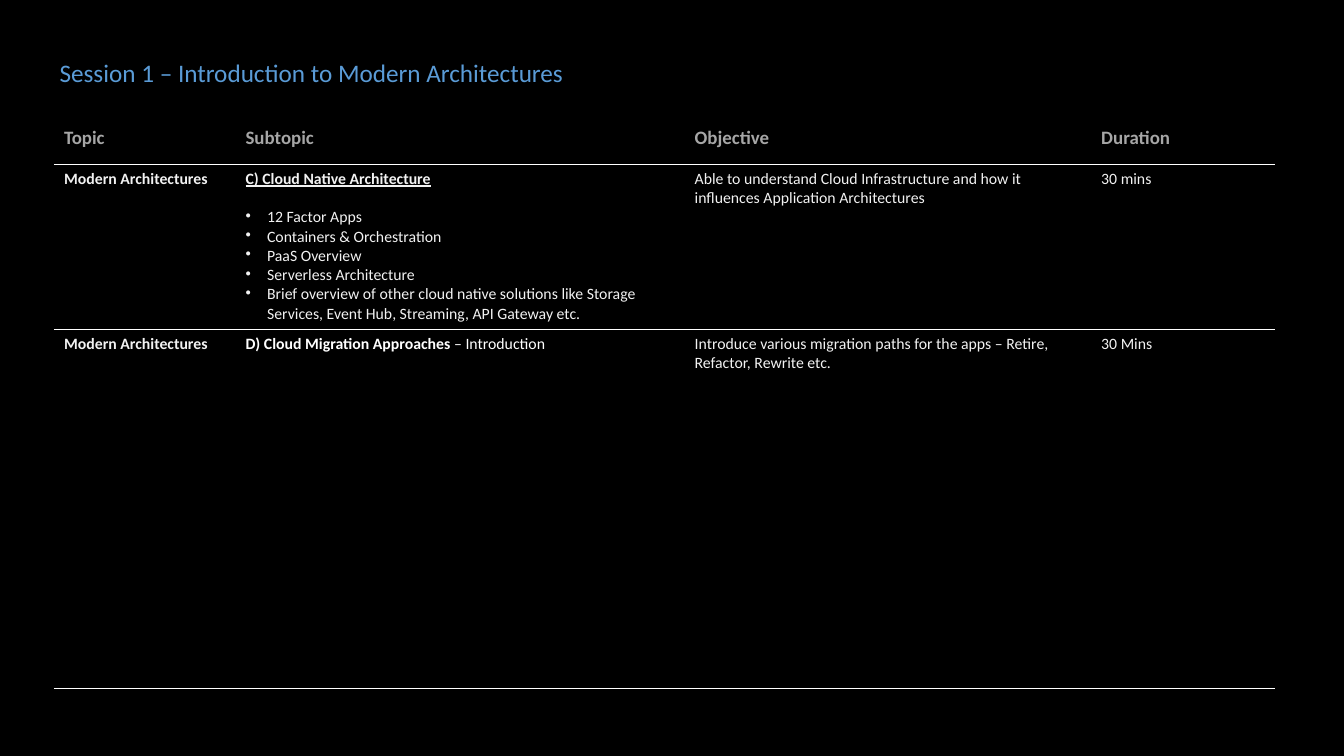
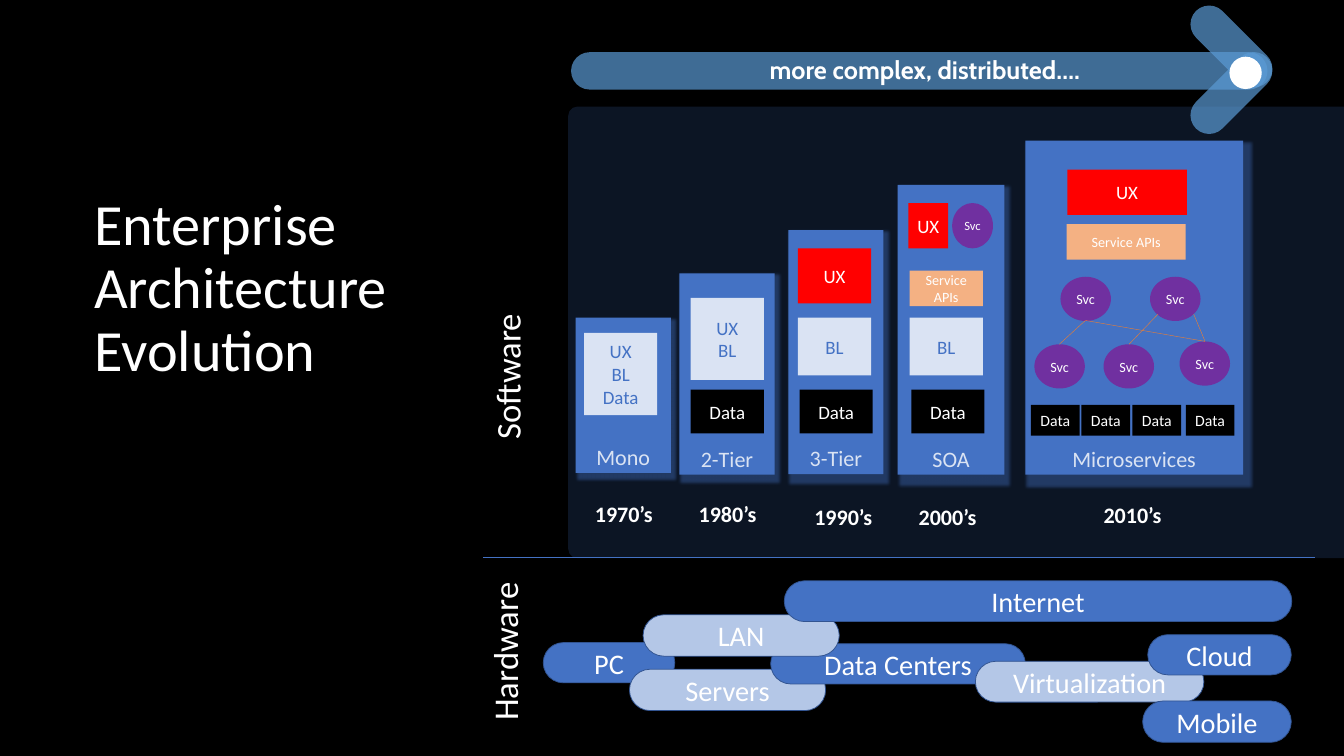
from dataclasses import dataclass
from typing import NamedTuple

from lxml.etree import SubElement
from pptx import Presentation
from pptx.dml.color import RGBColor
from pptx.enum.shapes import MSO_CONNECTOR, MSO_SHAPE as Preset
from pptx.enum.text import MSO_ANCHOR as Anchor, MSO_AUTO_SIZE, PP_ALIGN as Align
from pptx.oxml.ns import qn
from pptx.util import Emu, Pt

EMU_PER_PX = 9144  # 100 px to the inch

BLACK = RGBColor(0x00, 0x00, 0x00)
WHITE = RGBColor(0xFF, 0xFF, 0xFF)
OFF_WHITE = RGBColor(0xF2, 0xF2, 0xF2)
GRAY = RGBColor(0xA6, 0xA6, 0xA6)
TITLE_BLUE = RGBColor(0x5A, 0x9B, 0xD6)
ARROW_BLUE = RGBColor(0x5B, 0x9B, 0xD5)
BLUE = RGBColor(0x44, 0x72, 0xC4)
DARK_BLUE = RGBColor(0x32, 0x54, 0x91)
LIGHT_BLUE = RGBColor(0xB4, 0xC7, 0xE7)
PALE_BLUE = RGBColor(0xDA, 0xE3, 0xF3)
RED = RGBColor(0xFF, 0x00, 0x00)
PEACH = RGBColor(0xF4, 0xB1, 0x83)
ORANGE = RGBColor(0xED, 0x7D, 0x31)
PURPLE = RGBColor(0x70, 0x30, 0xA0)


class Box(NamedTuple):
    left: int
    top: int
    width: int
    height: int


class Run(NamedTuple):
    text: str
    bold: bool = False
    underline: bool = False
    color: RGBColor = OFF_WHITE
    size: int = 20


class Line(NamedTuple):
    """One paragraph of a table cell."""
    runs: list[Run]
    bullet: bool = False
    space_after: int = 0


@dataclass(frozen=True)
class Font:
    size: int
    color: RGBColor = WHITE
    bold: bool = False
    name: str = "Calibri"


@dataclass(frozen=True)
class Look:
    preset: Preset
    fill: RGBColor
    font: Font = Font(24)
    anchor: Anchor = Anchor.MIDDLE
    outline: RGBColor | None = None
    radius: float | None = None
    opacity: int = 100
    shadow: bool = False


PANEL = Look(Preset.ROUNDED_RECTANGLE, BLUE, radius=0.02, opacity=19)
TIER = Look(Preset.RECTANGLE, BLUE, Font(28, PALE_BLUE), Anchor.BOTTOM, shadow=True)
LOGIC = Look(Preset.RECTANGLE, PALE_BLUE, Font(24, BLUE))
DATA = Look(Preset.RECTANGLE, BLACK)
SMALL_DATA = Look(Preset.RECTANGLE, BLACK, Font(20))
UX = Look(Preset.RECTANGLE, RED)
API = Look(Preset.RECTANGLE, PEACH, Font(18))
SERVICE = Look(Preset.OVAL, PURPLE, Font(18))
SMALL_SERVICE = Look(Preset.OVAL, PURPLE, Font(16))
ARROW = Look(Preset.ROUNDED_RECTANGLE, ARROW_BLUE, Font(32, bold=True, name="Cabin"),
             Anchor.BOTTOM, radius=0.5, opacity=70)
DOT = Look(Preset.OVAL, WHITE)
PILL = Look(Preset.ROUNDED_RECTANGLE, BLUE, Font(36), outline=DARK_BLUE, radius=0.5)
LIGHT_PILL = Look(Preset.ROUNDED_RECTANGLE, LIGHT_BLUE, Font(36), outline=DARK_BLUE, radius=0.5)

TIERS = [
    ("Mono", Box(1015, 560, 168, 274)),
    ("2-Tier", Box(1198, 482, 168, 355)),
    ("3-Tier", Box(1390, 406, 168, 430)),
    ("SOA", Box(1583, 326, 188, 511)),
    ("Microservices", Box(1808, 248, 384, 589)),
]
PARTS = [
    ("UX\nBL\nData", LOGIC, Box(1030, 587, 129, 145)),
    ("UX\nBL", LOGIC, Box(1218, 525, 129, 145)),
    ("UX", UX, Box(1407, 438, 129, 97)),
    ("UX", UX, Box(1602, 358, 70, 80)),
    ("Svc", SMALL_SERVICE, Box(1679, 358, 72, 80)),
    ("Service APIs", API, Box(1604, 477, 129, 63)),
    ("UX", UX, Box(1882, 299, 211, 80)),
    ("Service APIs", API, Box(1881, 395, 210, 63)),
    *(("BL", LOGIC, Box(left, 560, 129, 102)) for left in (1407, 1604)),
    *(("Data", DATA, Box(left, 687, 129, 77)) for left in (1218, 1410, 1607)),
    *(("Svc", SERVICE, Box(left, top, 89, 78)) for left, top in
      ((1824, 607), (1946, 607), (2080, 602), (1870, 488), (2028, 488))),
    *(("Data", SMALL_DATA, Box(left, 714, 86, 54)) for left in (1818, 1907, 1997, 2091)),
]
SERVICE_CALLS = [
    (1914, 565, 1868, 607), (1914, 565, 2125, 602),
    (2042, 554, 1991, 607), (2105, 554, 2125, 602),
]
DECADES = [("1970’s", 1016, 878), ("1980’s", 1199, 878), ("1990’s", 1403, 882),
           ("2000’s", 1587, 882), ("2010’s", 1913, 879)]
HARDWARE = [
    ("PC", PILL, Box(958, 1133, 232, 71)),
    ("Servers", LIGHT_PILL, Box(1110, 1180, 346, 73)),
    ("Data Centers", PILL, Box(1359, 1135, 449, 71)),
    ("Virtualization", LIGHT_PILL, Box(1720, 1166, 403, 72)),
    ("Cloud", PILL, Box(2024, 1119, 253, 71)),
    ("Mobile", PILL, Box(2015, 1236, 262, 73)),
    ("LAN", LIGHT_PILL, Box(1134, 1084, 346, 73)),
    ("Internet", PILL, Box(1383, 1024, 895, 72)),
]

COLUMN_WIDTHS = (320, 792, 717, 325)
ROW_HEIGHTS = (92, 290, 634)
TOPIC = [Line([Run("Modern Architectures", bold=True)])]
AGENDA = [
    [[Line([Run(heading, bold=True, color=GRAY, size=24)])]
     for heading in ("Topic", "Subtopic", "Objective", "Duration")],
    [
        TOPIC,
        [Line([Run("C) Cloud Native Architecture", bold=True, underline=True)], space_after=24),
         *(Line([Run(text)], bullet=True) for text in (
             "12 Factor Apps",
             "Containers & Orchestration",
             "PaaS Overview",
             "Serverless Architecture",
             "Brief overview of other cloud native solutions like Storage Services, "
             "Event Hub, Streaming, API Gateway etc."))],
        [Line([Run("Able to understand Cloud Infrastructure and how it influences "
                   "Application Architectures")])],
        [Line([Run("30 mins")])],
    ],
    [
        TOPIC,
        [Line([Run("D) Cloud Migration Approaches", bold=True, color=WHITE),
               Run(" – Introduction", color=WHITE)])],
        [Line([Run("Introduce various migration paths for the apps – Retire, Refactor, "
                   "Rewrite etc.")])],
        [Line([Run("30 Mins")])],
    ],
]


def px(length: int) -> Emu:
    return Emu(length * EMU_PER_PX)


def emu(box: Box) -> list[Emu]:
    return [px(length) for length in box]


def add_run(paragraph, text: str, font: Font) -> None:
    run = paragraph.add_run()
    run.text = text
    run.font.size, run.font.name = Pt(font.size), font.name
    run.font.bold = font.bold
    run.font.color.rgb = font.color


def write(frame, text: str, font: Font) -> None:
    """Fill a text frame with centred lines."""
    frame.word_wrap = True
    for index, line in enumerate(text.split("\n")):
        paragraph = frame.add_paragraph() if index else frame.paragraphs[0]
        paragraph.alignment = Align.CENTER
        add_run(paragraph, line, font)


def add_titled_slide(presentation, text: str, box: Box, font: Font, anchor: Anchor, wrap: bool):
    slide = presentation.slides.add_slide(presentation.slide_layouts[5])
    title = slide.shapes.title
    title.left, title.top, title.width, title.height = emu(box)
    frame = title.text_frame
    frame.auto_size = MSO_AUTO_SIZE.NONE
    frame.word_wrap, frame.vertical_anchor = wrap, anchor
    frame.paragraphs[0].alignment = Align.LEFT
    add_run(frame.paragraphs[0], text, font)
    return slide


def add_block(slide, look: Look, box: Box, text: str = "", rotation: int = 0):
    shape = slide.shapes.add_shape(look.preset, *emu(box))
    shape.rotation = rotation
    shape.shadow.inherit = False
    if look.radius is not None:
        shape.adjustments[0] = look.radius
    shape.fill.solid()
    shape.fill.fore_color.rgb = look.fill
    properties = shape.element.spPr
    if look.opacity < 100:
        color = properties.find(qn("a:solidFill"))[0]
        SubElement(color, qn("a:alpha"), val=str(look.opacity * 1000))
    if look.outline is None:
        shape.line.fill.background()
    else:
        shape.line.color.rgb, shape.line.width = look.outline, Pt(1)
    if look.shadow:
        shadow = SubElement(properties.find(qn("a:effectLst")), qn("a:outerShdw"),
                            blurRad=str(Pt(4)), dist=str(Pt(3)), dir="2700000",
                            sx="103000", sy="103000", algn="tl", rotWithShape="0")
        color = SubElement(shadow, qn("a:srgbClr"), val=str(look.fill))
        SubElement(color, qn("a:alpha"), val="40000")
    if text:
        shape.text_frame.vertical_anchor = look.anchor
        write(shape.text_frame, text, look.font)
    return shape


def add_label(slide, text: str, box: Box, font: Font, rotation: int = 0) -> None:
    label = slide.shapes.add_textbox(*emu(box))
    label.rotation = rotation
    write(label.text_frame, text, font)


def add_line(slide, ends: tuple[int, int, int, int], color: RGBColor) -> None:
    line = slide.shapes.add_connector(MSO_CONNECTOR.STRAIGHT, *map(px, ends))
    line.line.color.rgb, line.line.width = color, Pt(0.5)
    SubElement(line.element.spPr, qn("a:effectLst"))


def set_borders(cell, ruled: str) -> None:
    """Rule the named sides of a cell and clear the others."""
    properties = cell._tc.get_or_add_tcPr()
    for index, side in enumerate("LRTB"):
        border = SubElement(properties, qn(f"a:ln{side}"), w=str(Pt(1)))
        properties.insert(index, border)
        if side in ruled:
            SubElement(SubElement(border, qn("a:solidFill")), qn("a:srgbClr"), val=str(WHITE))
        else:
            SubElement(border, qn("a:noFill"))


def fill_cell(cell, lines: list[Line]) -> None:
    cell.fill.background()
    cell.margin_left = cell.margin_right = px(18)
    cell.margin_top = cell.margin_bottom = px(9)
    for index, line in enumerate(lines):
        paragraph = cell.text_frame.add_paragraph() if index else cell.text_frame.paragraphs[0]
        if line.space_after:
            paragraph.space_after = Pt(line.space_after)
        if line.bullet:
            properties = paragraph._p.get_or_add_pPr()
            properties.set("marL", str(px(38)))
            properties.set("indent", str(px(-38)))
            SubElement(properties, qn("a:buChar"), char="•")
        for run in line.runs:
            add_run(paragraph, run.text, Font(run.size, run.color, run.bold))
            paragraph.runs[-1].font.underline = run.underline


def build_agenda(presentation) -> None:
    slide = add_titled_slide(presentation, "Session 1 – Introduction to Modern Architectures",
                             Box(95, 96, 918, 64), Font(32, TITLE_BLUE), Anchor.TOP, wrap=False)
    box = Box(95, 198, sum(COLUMN_WIDTHS), sum(ROW_HEIGHTS))
    table = slide.shapes.add_table(len(ROW_HEIGHTS), len(COLUMN_WIDTHS), *emu(box)).table
    table.horz_banding = False
    for column, width in zip(table.columns, COLUMN_WIDTHS):
        column.width = px(width)
    for row_index, (row, height, cells) in enumerate(zip(table.rows, ROW_HEIGHTS, AGENDA)):
        row.height = px(height)
        for cell, lines in zip(row.cells, cells):
            fill_cell(cell, lines)
            cell.vertical_anchor = Anchor.TOP if row_index else Anchor.MIDDLE
            set_borders(cell, "TB" if row_index else "B")


def build_evolution(presentation) -> None:
    slide = add_titled_slide(presentation, "Enterprise Architecture Evolution",
                             Box(156, 218, 643, 464), Font(74), Anchor.BOTTOM, wrap=True)
    heading = slide.shapes.title.text_frame.paragraphs[0]
    heading.line_spacing, heading.space_after = 0.9, Pt(6)

    add_block(slide, PANEL, Box(1002, 188, 1385, 796))
    for name, box in TIERS:
        add_block(slide, TIER, box, name)
    for text, look, box in PARTS:
        add_block(slide, look, box, text)
    for ends in SERVICE_CALLS:
        add_line(slide, ends, ORANGE)
    for decade, left, top in DECADES:
        add_label(slide, decade, Box(left, top, 168, 57), Font(28, bold=True))

    shaft = add_block(slide, ARROW, Box(1007, 92, 1228, 66), "more complex, distributed….")
    frame = shaft.text_frame
    frame.margin_left = px(20)
    frame.margin_top = frame.margin_right = frame.margin_bottom = 0
    for top, rotation in ((131, 315), (49, 45)):
        add_block(slide, ARROW, Box(2083, top, 177, 66), rotation=rotation)
    add_block(slide, DOT, Box(2168, 100, 57, 57))

    add_label(slide, "Software", Box(665, 622, 458, 84), Font(44), rotation=270)
    add_label(slide, "Hardware", Box(735, 1107, 309, 84), Font(44), rotation=270)
    add_line(slide, (852, 983, 2318, 983), BLUE)
    for text, look, box in HARDWARE:
        add_block(slide, look, box, text)


def main() -> None:
    presentation = Presentation()
    presentation.slide_width, presentation.slide_height = px(2370), px(1333)
    background = presentation.slide_master.background.fill
    background.solid()
    background.fore_color.rgb = BLACK
    build_agenda(presentation)
    build_evolution(presentation)
    presentation.save("out.pptx")


if __name__ == "__main__":
    main()
